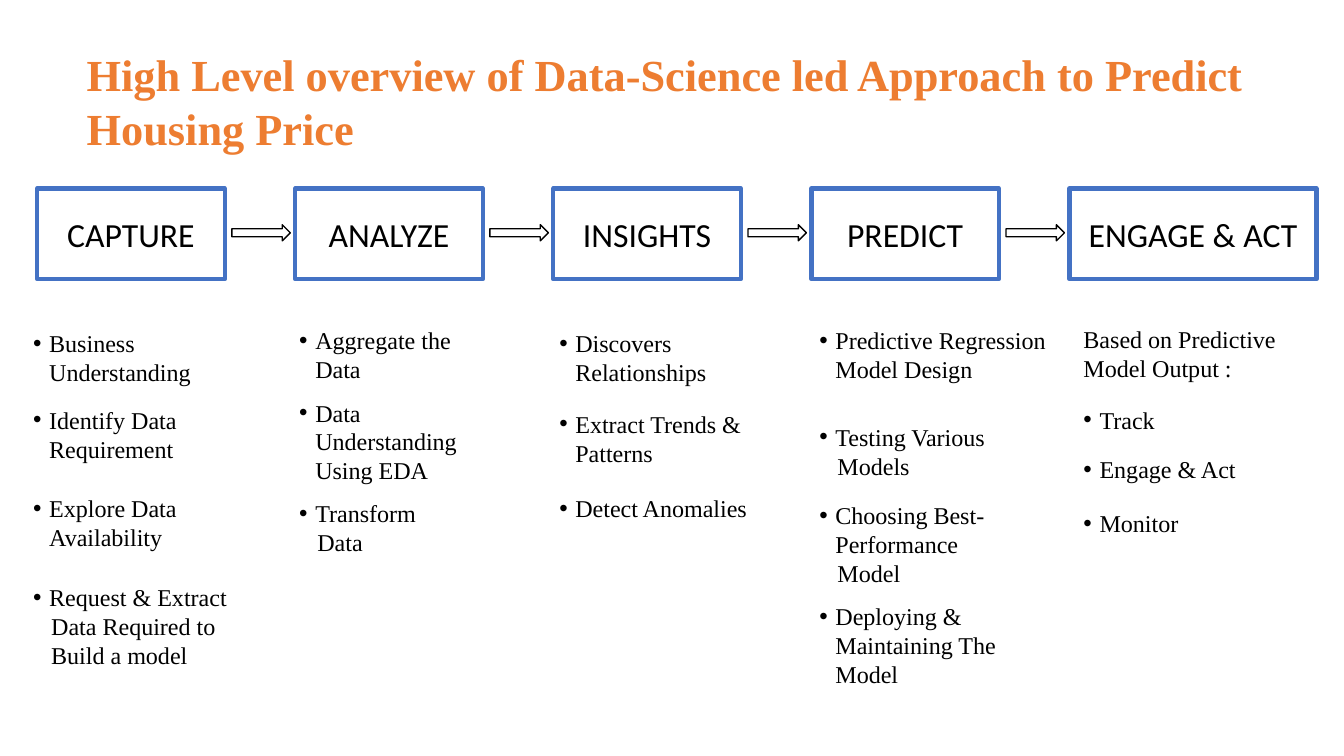
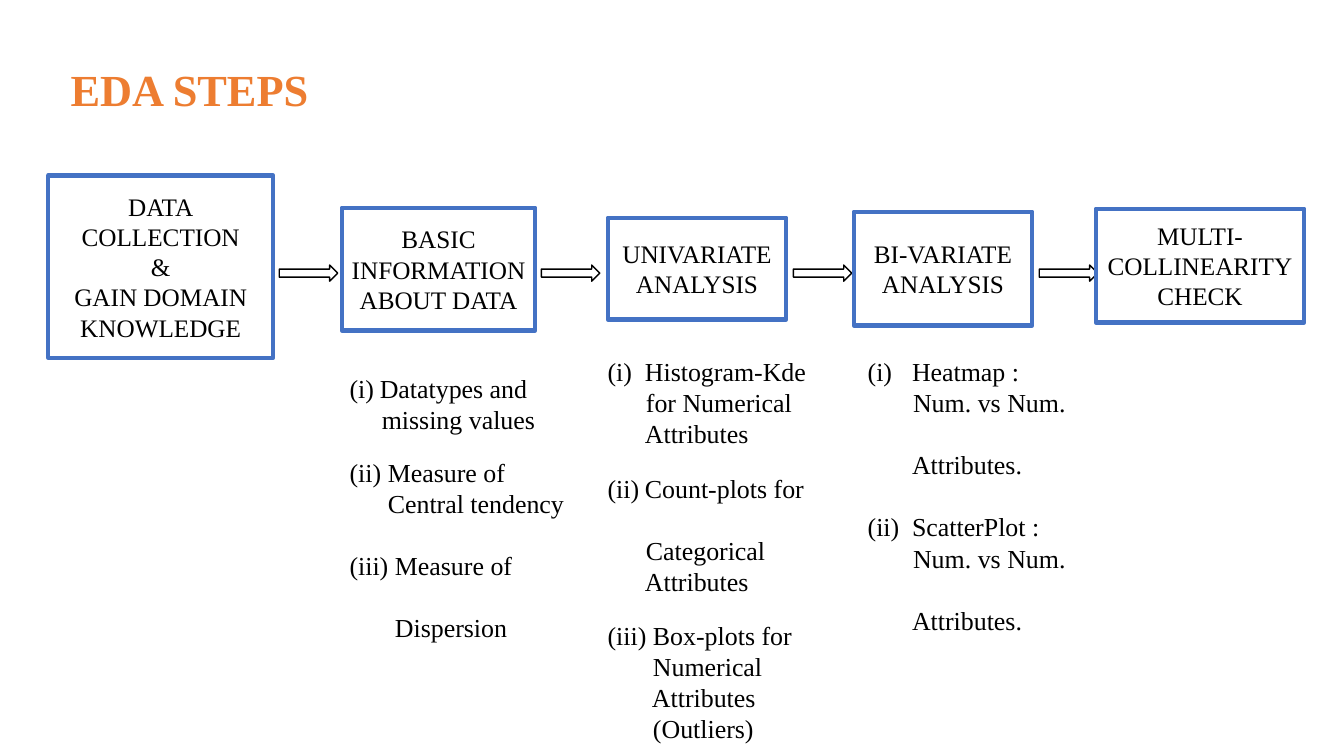
import dataclasses

import pptx
import pptx.dml.color
import pptx.enum.shapes
import pptx.enum.text
import pptx.oxml.ns
import pptx.util
from lxml import etree

ALIGN = pptx.enum.text.PP_ALIGN
ANCHOR = pptx.enum.text.MSO_ANCHOR
SHAPE = pptx.enum.shapes.MSO_SHAPE
WIDTH, HEIGHT = 13.333, 7.5


@dataclasses.dataclass(frozen=True)
class Theme:
    """Colours, fonts and type sizes shared by all pages."""
    title: str = "ED7D31"
    frame: str = "4472C4"
    ink: str = "000000"
    paper: str = "FFFFFF"
    serif: str = "Times New Roman"
    sans: str = "Calibri"
    title_size: float = 31.7
    stage_size: float = 24.1
    step_size: float = 18
    bullet_size: float = 17.2
    outline_size: float = 18.5
    leading: float = 1.2
    title_only: int = 5


@dataclasses.dataclass(frozen=True)
class Note:
    """One line of notes: gap above in lines, mark and hanging indent in inches."""
    text: str
    gap: float = 0
    mark: str = ""
    hang: float = 0


THEME = Theme()


def color(value):
    """Turn a hex value into a colour."""
    return pptx.dml.color.RGBColor.from_string(value)


def area(left, top, width, height):
    """Turn percentages of the slide into lengths."""
    return [pptx.util.Inches(round(share * side / 100, 2))
            for share, side in zip((left, top, width, height), (WIDTH, HEIGHT) * 2)]


def assign(target, values):
    """Set every attribute named in a dict of format values."""
    for name, value in values.items():
        setattr(target, name, value)


def bullet(text, gap=0):
    """Describe a bulleted note."""
    return Note(text, gap, "•", 0.16)


def under(text):
    """Describe a line that continues a bulleted note."""
    return Note(text, hang=0.18)


def write(para, text, size, font, ink=THEME.ink, bold=False, align=ALIGN.LEFT, gap=0):
    """Fill a paragraph with one formatted span."""
    line = size * THEME.leading
    assign(para, {"alignment": align,
                  "line_spacing": pptx.util.Pt(round(line, 2)),
                  "space_before": pptx.util.Pt(round(line * gap, 2)),
                  "space_after": pptx.util.Pt(0)})
    span = para.add_run()
    span.text = text
    assign(span.font, {"size": pptx.util.Pt(size), "name": font, "bold": bold})
    span.font.color.rgb = color(ink)


def indent(para, note):
    """Give a paragraph its hanging indent and its bullet."""
    props = para._p.get_or_add_pPr()
    hang = pptx.util.Inches(note.hang)
    props.set("marL", str(hang))
    props.set("indent", str(-hang if note.mark else 0))
    if note.mark == "•":
        face = etree.SubElement(props, pptx.oxml.ns.qn("a:buFont"))
        face.set("typeface", "Arial")
        dot = etree.SubElement(props, pptx.oxml.ns.qn("a:buChar"))
        dot.set("char", note.mark)


def paragraphs(frame, items):
    """Pair each item with a paragraph of the frame."""
    for index, item in enumerate(items):
        yield (frame.add_paragraph() if index else frame.paragraphs[0]), item


def add_page(deck, title, place):
    """Add a page and set its title."""
    page = deck.slides.add_slide(deck.slide_layouts[THEME.title_only])
    box = page.shapes.title
    assign(box, dict(zip(("left", "top", "width", "height"), area(*place))))
    assign(box.text_frame, {"word_wrap": True, "vertical_anchor": ANCHOR.TOP,
                            "auto_size": pptx.enum.text.MSO_AUTO_SIZE.NONE})
    write(box.text_frame.paragraphs[0], title, THEME.title_size, THEME.serif,
          THEME.title, True)
    return page


def add_outlined(page, kind, place, line, weight):
    """Add a white shape with a plain outline."""
    box = page.shapes.add_shape(kind, *area(*place))
    box.shadow.inherit = False
    box.fill.solid()
    box.fill.fore_color.rgb = color(THEME.paper)
    box.line.color.rgb = color(line)
    box.line.width = pptx.util.Pt(weight)
    return box


def add_flow(page, steps, arrow_top, size, font):
    """Add framed steps with a block arrow after each one but the last."""
    for index, (label, *place) in enumerate(steps):
        box = add_outlined(page, SHAPE.RECTANGLE, place, THEME.frame, 3)
        margins = dict.fromkeys(
            ("margin_left", "margin_right", "margin_top", "margin_bottom"), 0)
        assign(box.text_frame, {"word_wrap": True, "vertical_anchor": ANCHOR.MIDDLE,
                                **margins})
        for para, text in paragraphs(box.text_frame, label.split("\n")):
            write(para, text, size, font, align=ALIGN.CENTER)
        if index < len(steps) - 1:
            left = place[0] + place[2] + 0.5
            add_outlined(page, SHAPE.RIGHT_ARROW, (left, arrow_top, 4.35, 2.1),
                         THEME.ink, 1)


def add_notes_column(page, place, size, notes):
    """Add one column of bulleted or numbered notes."""
    box = page.shapes.add_textbox(*area(*place))
    box.text_frame.word_wrap = True
    for para, note in paragraphs(box.text_frame, notes):
        numbered = note.mark not in ("", "•")
        text = f"{note.mark}\t{note.text}" if numbered else note.text
        write(para, text, size, THEME.serif, gap=note.gap)
        indent(para, note)


def build_overview(deck):
    """Build the page on the five stages of the approach."""
    page = add_page(
        deck, "High Level overview of Data-Science led Approach to Predict Housing Price",
        (5.7, 5.6, 89.5, 15.6))
    stages = ("CAPTURE", "ANALYZE", "INSIGHTS", "PREDICT", "ENGAGE & ACT")
    add_flow(page, [(stage, 2.8 + 19.2 * column, 24.9,
                     18.4 if column == len(stages) - 1 else 13.95, 12)
                    for column, stage in enumerate(stages)],
             29.7, THEME.stage_size, THEME.sans)
    columns = (
        ((1.7, 42.8, 17.3, 47), (
            bullet("Business Understanding"),
            bullet("Identify Data Requirement", 0.65),
            bullet("Explore Data Availability", 1.07),
            bullet("Request & Extract", 1.07),
            under("Data Required to"),
            under("Build a model"))),
        ((21.5, 42.4, 15.5, 32), (
            bullet("Aggregate the Data"),
            bullet("Data Understanding Using EDA", 0.51),
            bullet("Transform", 0.49),
            under("Data"))),
        ((40.9, 42.8, 15.5, 27), (
            bullet("Discovers Relationships"),
            bullet("Extract Trends & Patterns", 0.79),
            bullet("Detect Anomalies", 0.93))),
        ((60.2, 42.4, 19.2, 50), (
            bullet("Predictive Regression Model Design"),
            bullet("Testing Various", 1.35),
            under("Models"),
            bullet("Choosing Best-Performance", 0.72),
            under("Model"),
            bullet("Deploying & Maintaining The Model", 0.49))),
        ((79.9, 42.3, 18.4, 30), (
            Note("Based on Predictive Model Output :"),
            bullet("Track", 0.79),
            bullet("Engage & Act", 0.71),
            bullet("Monitor", 0.88))),
    )
    for place, notes in columns:
        add_notes_column(page, place, THEME.bullet_size, notes)


def build_steps(deck):
    """Build the page on the steps of the data analysis."""
    page = add_page(deck, "EDA STEPS", (4.5, 7.6, 40, 9.9))
    add_flow(page, (
        ("DATA\nCOLLECTION\n&\nGAIN DOMAIN\nKNOWLEDGE", 3.6, 23.2, 16.7, 24.1),
        ("BASIC\nINFORMATION\nABOUT DATA", 25.4, 27.5, 14.4, 16.3),
        ("UNIVARIATE\nANALYSIS", 45.2, 28.8, 13.3, 13.5),
        ("BI-VARIATE\nANALYSIS", 63.5, 28, 13.3, 15.1),
        ("MULTI-\nCOLLINEARITY\nCHECK", 81.5, 27.6, 15.5, 15.1),
    ), 35.1, THEME.step_size, THEME.serif)
    columns = (
        ((25.3, 48.7, 17.8, 38), (
            Note("Datatypes and", 0, "(i)", 0.3),
            Note("missing values", hang=0.32),
            Note("Measure of", 0.68, "(ii)", 0.38),
            Note("Central tendency", hang=0.38),
            Note("Measure of", 1, "(iii)", 0.45),
            Note("Dispersion", 1, hang=0.45))),
        ((44.5, 46.4, 18, 53), (
            Note("Histogram-Kde", 0, "(i)", 0.37),
            Note("for Numerical", hang=0.38),
            Note("Attributes", hang=0.37),
            Note("Count-plots for", 0.75, "(ii)", 0.37),
            Note("Categorical", 1, hang=0.38),
            Note("Attributes", hang=0.37),
            Note("Box-plots for", 0.75, "(iii)", 0.45),
            Note("Numerical", hang=0.45),
            Note("Attributes", hang=0.44),
            Note("(Outliers)", hang=0.45))),
        ((63.8, 46.4, 18, 40), (
            Note("Heatmap :", 0, "(i)", 0.44),
            Note("Num. vs Num.", hang=0.45),
            Note("Attributes.", 1, hang=0.44),
            Note("ScatterPlot :", 1, "(ii)", 0.44),
            Note("Num. vs Num.", hang=0.45),
            Note("Attributes.", 1, hang=0.44))),
    )
    for place, notes in columns:
        add_notes_column(page, place, THEME.outline_size, notes)


def main():
    """Build and save the deck."""
    deck = pptx.Presentation()
    deck.slide_width = pptx.util.Inches(WIDTH)
    deck.slide_height = pptx.util.Inches(HEIGHT)
    build_overview(deck)
    build_steps(deck)
    deck.save("out.pptx")


if __name__ == "__main__":
    main()
